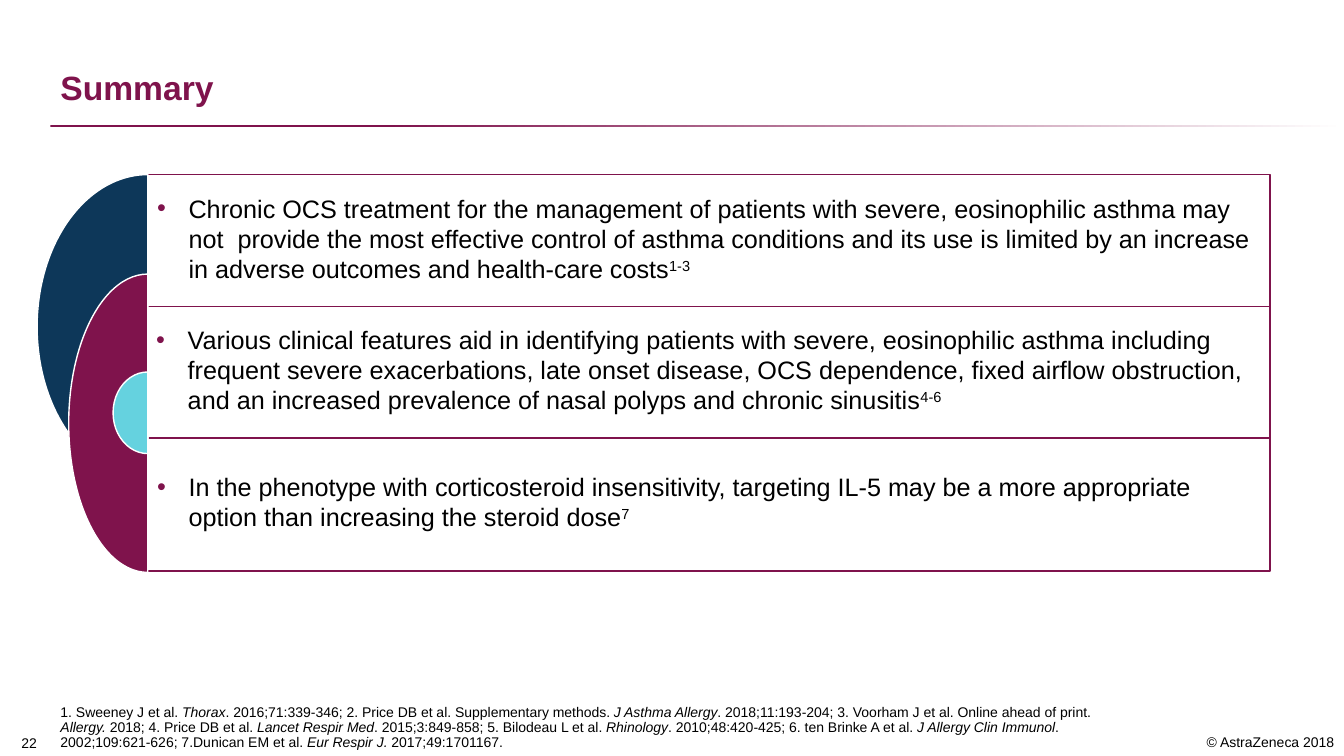
from lxml import etree
from pptx import Presentation
from pptx.dml.color import RGBColor
from pptx.enum.shapes import MSO_SHAPE
from pptx.enum.text import MSO_ANCHOR, MSO_AUTO_SIZE, PP_ALIGN
from pptx.oxml.ns import qn
from pptx.util import Pt

RECTANGLE, PIE = MSO_SHAPE.RECTANGLE, MSO_SHAPE.PIE
MIDDLE, BOTTOM = MSO_ANCHOR.MIDDLE, MSO_ANCHOR.BOTTOM
LEFT, CENTER, RIGHT = PP_ALIGN.LEFT, PP_ALIGN.CENTER, PP_ALIGN.RIGHT
NO_AUTOFIT = MSO_AUTO_SIZE.NONE

COLORS = {
    "plum": "7F134C",
    "navy": "0D3759",
    "aqua": "65D2DF",
    "white": "FFFFFF",
    "black": "000000",
}
FONT = "Arial"
PIE_CENTER = 105.6

PANELS = [
    (105.1, 124.5, 802, 283.4),
    (102.2, 219, 805, 94),
]
PIES = [
    (124.7, 158.2, 217.4, "navy"),
    (195.8, 113, 213.1, "plum"),
    (265.7, 49.7, 58.3, "aqua"),
]
POINTS = [
    (105.1, 134.1, 72.5,
     "Chronic OCS treatment for the management of patients with severe, "
     "eosinophilic asthma may not  provide the most effective control of asthma "
     "conditions and its use is limited by an increase in adverse outcomes and "
     "health-care costs", "1-3"),
    (104.5, 227.8, 72.5,
     "Various clinical features aid in identifying patients with severe, "
     "eosinophilic asthma including frequent severe exacerbations, late onset "
     "disease, OCS dependence, fixed airflow obstruction, and an increased "
     "prevalence of nasal polyps and chronic sinusitis", "4-6"),
    (105.1, 332.9, 51,
     "In the phenotype with corticosteroid insensitivity, targeting IL-5 may be "
     "a more appropriate option than increasing the steroid dose", "7"),
]
REFERENCES = [
    ("1. Sweeney J et al. ", "Thorax"),
    (". 2016;71:339-346; 2. Price DB et al. Supplementary methods. ",
     "J Asthma Allergy"),
    (". 2018;11:193-204; 3. Voorham J et al. Online ahead of print. ", "Allergy."),
    (" 2018; 4. Price DB et al. ", "Lancet Respir Med"),
    (". 2015;3:849-858; 5. Bilodeau L et al. ", "Rhinology"),
    (". 2010;48:420-425; 6. ten Brinke A et al. ", "J Allergy Clin Immunol"),
    (". 2002;109:621-626; 7.Dunican EM et al. ", "Eur Respir J. "),
    ("2017;49:1701167.", ""),
]


def rgb(name):
    return RGBColor.from_string(COLORS[name])


def add_span(para, text, size, color="black", bold=False, italic=False):
    span = para.add_run()
    span.text = text
    span.font.name = FONT
    span.font.size = Pt(size)
    span.font.bold = bold
    span.font.italic = italic
    span.font.color.rgb = rgb(color)
    return span


def place(shape, left, top, width, height):
    shape.left, shape.top = Pt(left), Pt(top)
    shape.width, shape.height = Pt(width), Pt(height)


def prepare_placeholder(box, frame):
    place(box, *frame)
    box.text_frame.auto_size = NO_AUTOFIT
    box.text_frame.vertical_anchor = BOTTOM
    para = box.text_frame.paragraphs[0]
    para.alignment = LEFT
    para.line_spacing = 0.9
    para.space_before = Pt(0)
    return para


def add_text_box(page, frame, anchor, align):
    box = page.shapes.add_textbox(*map(Pt, frame))
    box.text_frame.word_wrap = True
    box.text_frame.vertical_anchor = anchor
    para = box.text_frame.paragraphs[0]
    para.alignment = align
    return box, para


def add_solid(page, kind, frame, fill, line):
    shape = page.shapes.add_shape(kind, *map(Pt, frame))
    shape.shadow.inherit = False
    shape.fill.solid()
    shape.fill.fore_color.rgb = rgb(fill)
    shape.line.color.rgb = rgb(line)
    shape.line.width = Pt(1)
    return shape


def add_rule(page):
    rule = page.shapes.add_shape(RECTANGLE, Pt(36), Pt(89.3), Pt(924), Pt(1.4))
    rule.shadow.inherit = False
    rule.line.fill.background()
    rule.fill.gradient()
    rule.fill.gradient_angle = 0
    stops = [("plum", 0.26), ("white", 1)]
    for stop, (color, position) in zip(rule.fill.gradient_stops, stops):
        stop.color.rgb = rgb(color)
        stop.position = position


def add_half_disc(page, top, width, height, color):
    frame = (PIE_CENTER - width / 2, top, width, height)
    disc = add_solid(page, PIE, frame, color, "white")
    disc.adjustments[0] = 54
    disc.adjustments[1] = 162


def set_bullet(para):
    props = para._p.get_or_add_pPr()
    props.set("marL", str(Pt(22.5)))
    props.set("indent", str(-Pt(22.5)))
    tint = etree.SubElement(props, qn("a:buClr"))
    etree.SubElement(tint, qn("a:srgbClr"), val=COLORS["plum"])
    etree.SubElement(props, qn("a:buFont"), typeface=FONT)
    etree.SubElement(props, qn("a:buChar"), char="•")


def add_point(page, left, top, height, text, citation):
    para = add_text_box(page, (left, top, 798.5, height), MIDDLE, LEFT)[1]
    set_bullet(para)
    add_span(para, text, 18)
    mark = add_span(para, citation, 18)
    mark.font._element.set("baseline", "30000")


def fill_references(box):
    para = prepare_placeholder(box, (36, 460.8, 776.2, 79.2))
    props = para._p.get_or_add_pPr()
    props.set("marL", "0")
    props.set("indent", "0")
    etree.SubElement(props, qn("a:buNone"))
    for text, journal in REFERENCES:
        add_span(para, text, 10)
        if journal:
            add_span(para, journal, 10, italic=True)


def main():
    deck = Presentation()
    deck.slide_width, deck.slide_height = Pt(960), Pt(540)
    page = deck.slides.add_slide(deck.slide_layouts[1])

    para = add_text_box(page, (800, 520.6, 160, 19.4), MIDDLE, RIGHT)[1]
    add_span(para, "© AstraZeneca 2018", 10)
    add_rule(page)

    para = prepare_placeholder(page.shapes.title, (36, 18, 888, 62.6))
    add_span(para, "Summary", 24, "plum", bold=True)
    fill_references(page.placeholders[1])

    box, para = add_text_box(page, (0, 519.1, 38.2, 20.9), BOTTOM, CENTER)
    box.text_frame.margin_right = Pt(3.6)
    add_span(para, "22", 10)

    for frame in PANELS:
        add_solid(page, RECTANGLE, frame, "white", "plum")
    for disc in PIES:
        add_half_disc(page, *disc)
    for point in POINTS:
        add_point(page, *point)

    deck.save("out.pptx")


if __name__ == "__main__":
    main()
